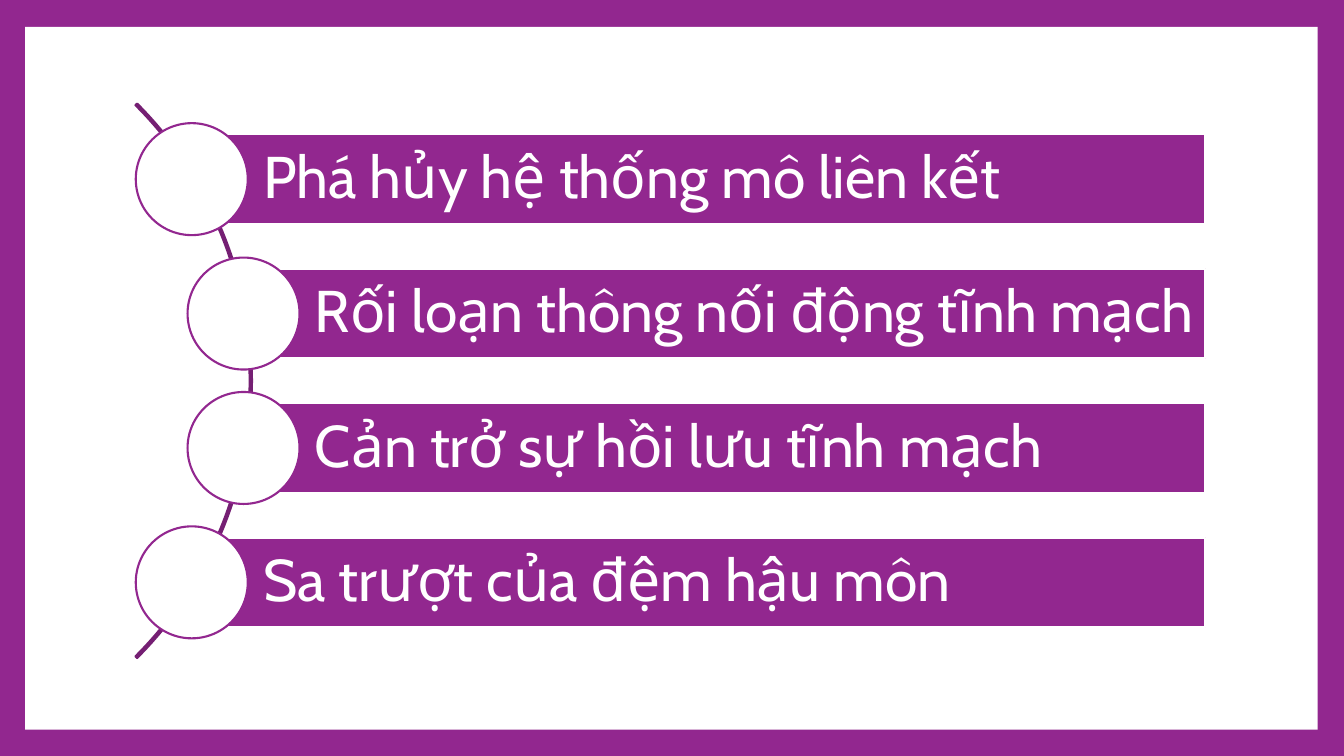
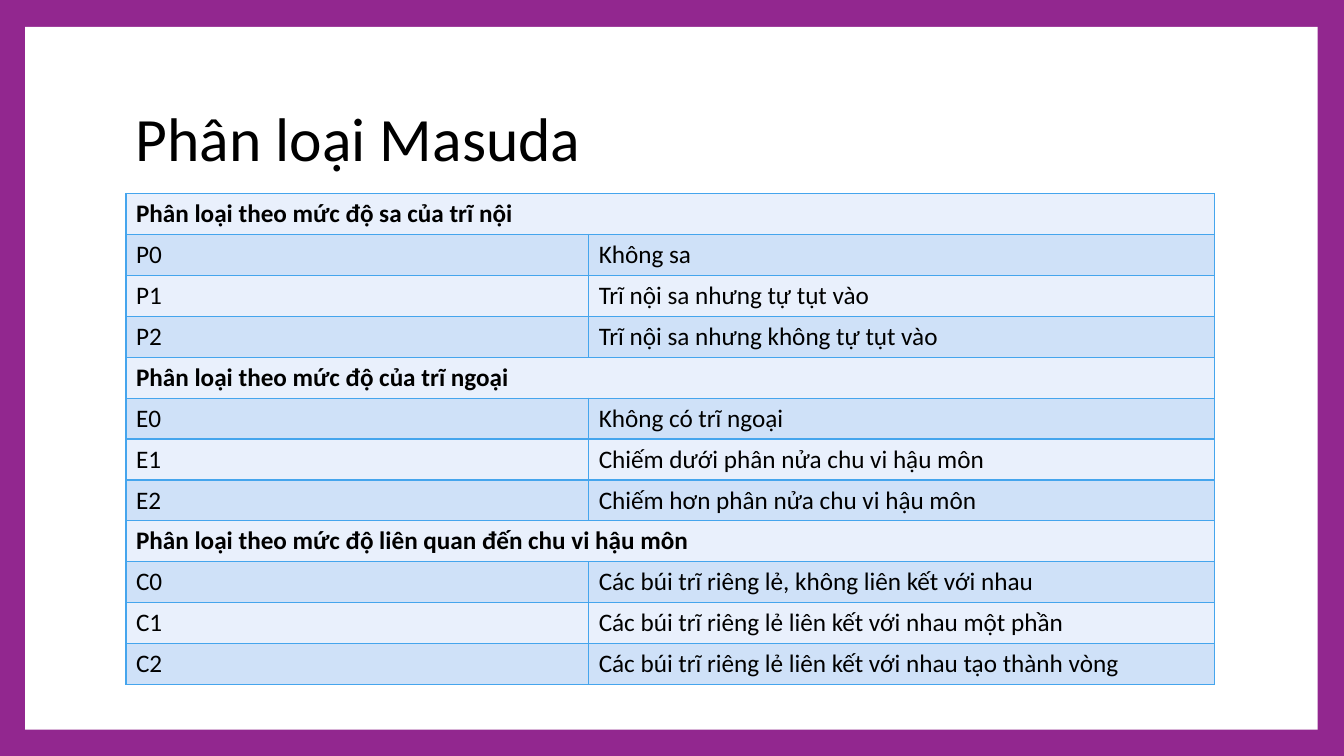
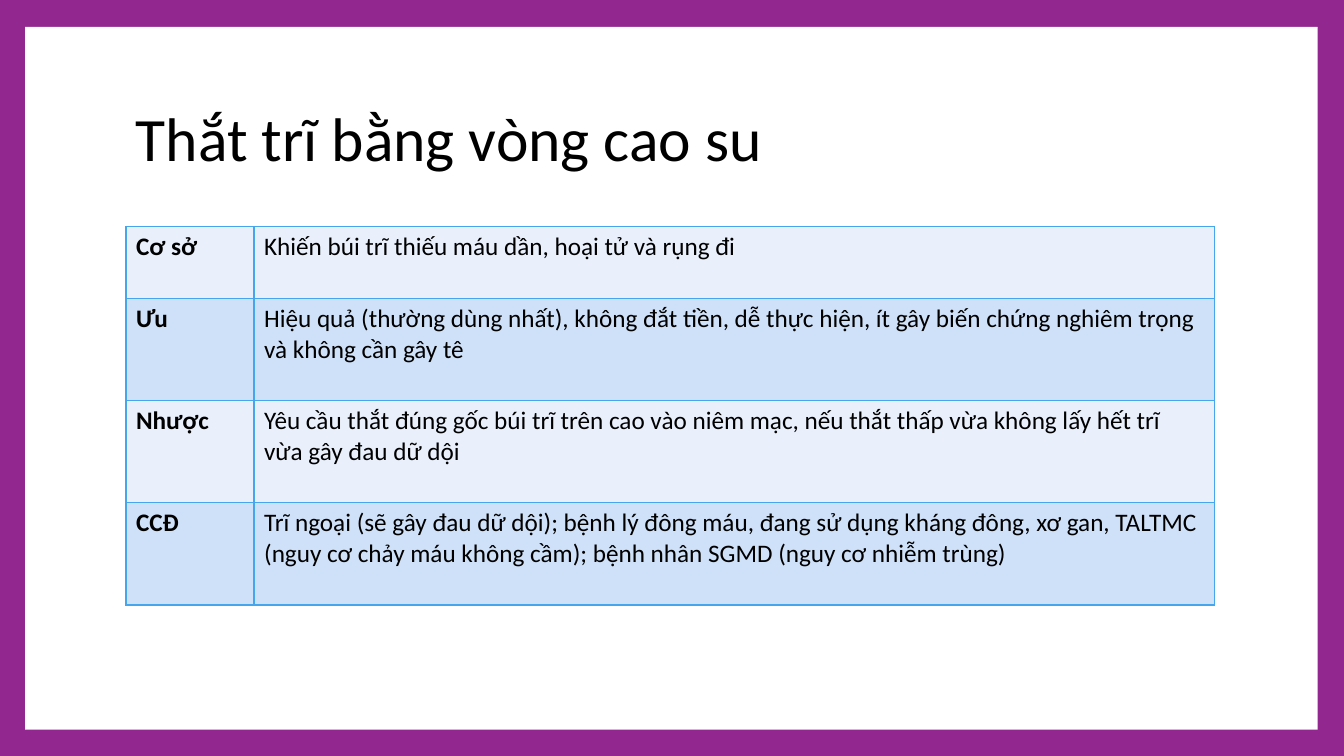
"""Build three framed slides on haemorrhoids: mechanisms, classification and banding."""
import pptx
import pptx.dml.color
import pptx.enum.shapes
import pptx.enum.text
import pptx.oxml
import pptx.oxml.ns
import pptx.util

Pt = pptx.util.Pt
SHAPES = pptx.enum.shapes.MSO_SHAPE
ANCHOR = pptx.enum.text.MSO_ANCHOR
ALIGN = pptx.enum.text.PP_ALIGN

PURPLE, DARK_PURPLE, WHITE, BLACK = "92278F", "751F73", "FFFFFF", "000000"
BORDER = "45A5ED"
ROW_FILLS = ("E9F0FC", "CFE1F8")
SLIDE_WIDTH, SLIDE_HEIGHT = 960, 540
CONTENT_LEFT, CONTENT_WIDTH = 90, 777.5

MECHANISMS = [
    ("Phá hủy hệ thống mô liên kết", 97),
    ("Rối loạn thông nối động tĩnh mạch", 134),
    ("Cản trở sự hồi lưu tĩnh mạch", 134),
    ("Sa trượt của đệm hậu môn", 97),
]
TABLE_SLIDES = [
    {
        "title": "Phân loại Masuda",
        "top": 138.25,
        "first_column": 330.5,
        "bold_first_column": False,
        "row_heights": [29.25] * 12,
        "rows": [
            ("Phân loại theo mức độ sa của trĩ nội",),
            ("P0", "Không sa"),
            ("P1", "Trĩ nội sa nhưng tự tụt vào"),
            ("P2", "Trĩ nội sa nhưng không tự tụt vào"),
            ("Phân loại theo mức độ của trĩ ngoại",),
            ("E0", "Không có trĩ ngoại"),
            ("E1", "Chiếm dưới phân nửa chu vi hậu môn"),
            ("E2", "Chiếm hơn phân nửa chu vi hậu môn"),
            ("Phân loại theo mức độ liên quan đến chu vi hậu môn",),
            ("C0", "Các búi trĩ riêng lẻ, không liên kết với nhau"),
            ("C1", "Các búi trĩ riêng lẻ liên kết với nhau một phần"),
            ("C2", "Các búi trĩ riêng lẻ liên kết với nhau tạo thành vòng"),
        ],
    },
    {
        "title": "Thắt trĩ bằng vòng cao su",
        "top": 161.75,
        "first_column": 91.5,
        "bold_first_column": True,
        "row_heights": [51.5, 73, 73, 73],
        "rows": [
            ("Cơ sở", "Khiến búi trĩ thiếu máu dần, hoại tử và rụng đi"),
            ("Ưu", "Hiệu quả (thường dùng nhất), không đắt tiền, dễ thực hiện, "
                   "ít gây biến chứng nghiêm trọng và không cần gây tê"),
            ("Nhược", "Yêu cầu thắt đúng gốc búi trĩ trên cao vào niêm mạc, "
                      "nếu thắt thấp vừa không lấy hết trĩ vừa gây đau dữ dội"),
            ("CCĐ", "Trĩ ngoại (sẽ gây đau dữ dội); bệnh lý đông máu, đang sử dụng "
                    "kháng đông, xơ gan, TALTMC (nguy cơ chảy máu không cầm); "
                    "bệnh nhân SGMD (nguy cơ nhiễm trùng)"),
        ],
    },
]


def color(value):
    return pptx.dml.color.RGBColor.from_string(value)


def add_shape(slide, kind, left, top, width, height, fill=None, line=None):
    shape = slide.shapes.add_shape(kind, Pt(left), Pt(top), Pt(width), Pt(height))
    shape.shadow.inherit = False
    if fill:
        shape.fill.solid()
        shape.fill.fore_color.rgb = color(fill)
    else:
        shape.fill.background()
    if line:
        shape.line.color.rgb = color(line)
        shape.line.width = Pt(1.5)
    else:
        shape.line.fill.background()
    return shape


def write(frame, text, size, font, text_color, bold=False, spacing=None):
    frame.word_wrap = True
    paragraph = frame.paragraphs[0]
    paragraph.text = text
    paragraph.alignment = ALIGN.LEFT
    paragraph.line_spacing = spacing
    paragraph.font.size = Pt(size)
    paragraph.font.name = font
    paragraph.font.bold = bold
    paragraph.font.color.rgb = color(text_color)


def add_framed_slide(presentation, title=None):
    slide = presentation.slides.add_slide(presentation.slide_layouts[6])
    slide.background.fill.solid()
    slide.background.fill.fore_color.rgb = color(PURPLE)
    add_shape(slide, SHAPES.RECTANGLE, 18, 19.25, 923.25, 502, WHITE)
    if title:
        box = slide.shapes.add_textbox(
            Pt(CONTENT_LEFT), Pt(48), Pt(CONTENT_WIDTH), Pt(106.5))
        box.text_frame.vertical_anchor = ANCHOR.MIDDLE
        write(box.text_frame, title, 44, "Calibri", BLACK, spacing=0.9)
    return slide


def add_mechanisms(slide):
    diameter, bar_height, pitch, first_top, bar_right = 80, 64, 96, 88, 861
    arc_size = 560
    middle = first_top + (pitch * (len(MECHANISMS) - 1) + diameter) / 2
    arc = add_shape(slide, SHAPES.BLOCK_ARC, -380, middle - arc_size / 2,
                    arc_size, arc_size, line=DARK_PURPLE)
    for index, value in enumerate((189, 27, 0.003)):
        arc.adjustments[index] = value
    for index, (text, left) in enumerate(MECHANISMS):
        top = first_top + index * pitch
        bar_left = left + diameter / 2
        bar = add_shape(slide, SHAPES.RECTANGLE, bar_left, top + (diameter - bar_height) / 2,
                        bar_right - bar_left, bar_height, PURPLE, WHITE)
        frame = bar.text_frame
        frame.margin_left = Pt(51)
        frame.margin_top = frame.margin_right = frame.margin_bottom = Pt(8)
        frame.vertical_anchor = ANCHOR.MIDDLE
        write(frame, text, 42, "Cabin", WHITE, spacing=0.9)
        add_shape(slide, SHAPES.OVAL, left, top, diameter, diameter, WHITE, PURPLE)


def style_cell(cell, fill):
    properties = cell._tc.get_or_add_tcPr()
    for side in "LRTB":
        properties.append(pptx.oxml.parse_xml(
            f'<a:ln{side} {pptx.oxml.ns.nsdecls("a")} w="{Pt(1)}"><a:solidFill>'
            f'<a:srgbClr val="{BORDER}"/></a:solidFill></a:ln{side}>'))
    cell.fill.solid()
    cell.fill.fore_color.rgb = color(fill)


def add_table(slide, content):
    rows, heights = content["rows"], content["row_heights"]
    table = slide.shapes.add_table(
        len(rows), 2, Pt(CONTENT_LEFT), Pt(content["top"]),
        Pt(CONTENT_WIDTH), Pt(sum(heights))).table
    table.first_row = table.horz_banding = False
    table.columns[0].width = Pt(content["first_column"])
    table.columns[1].width = Pt(CONTENT_WIDTH - content["first_column"])
    for row_index, texts in enumerate(rows):
        table.rows[row_index].height = Pt(heights[row_index])
        cells = [table.cell(row_index, column) for column in range(2)]
        for cell in cells:
            style_cell(cell, ROW_FILLS[row_index % 2])
        is_heading = len(texts) == 1
        if is_heading:
            cells[0].merge(cells[1])
        for column, text in enumerate(texts):
            bold = is_heading or (column == 0 and content["bold_first_column"])
            write(cells[column].text_frame, text, 18, "Calibri", BLACK, bold)


def main():
    presentation = pptx.Presentation()
    presentation.slide_width = Pt(SLIDE_WIDTH)
    presentation.slide_height = Pt(SLIDE_HEIGHT)
    add_mechanisms(add_framed_slide(presentation))
    for content in TABLE_SLIDES:
        add_table(add_framed_slide(presentation, content["title"]), content)
    presentation.save("out.pptx")


if __name__ == "__main__":
    main()
